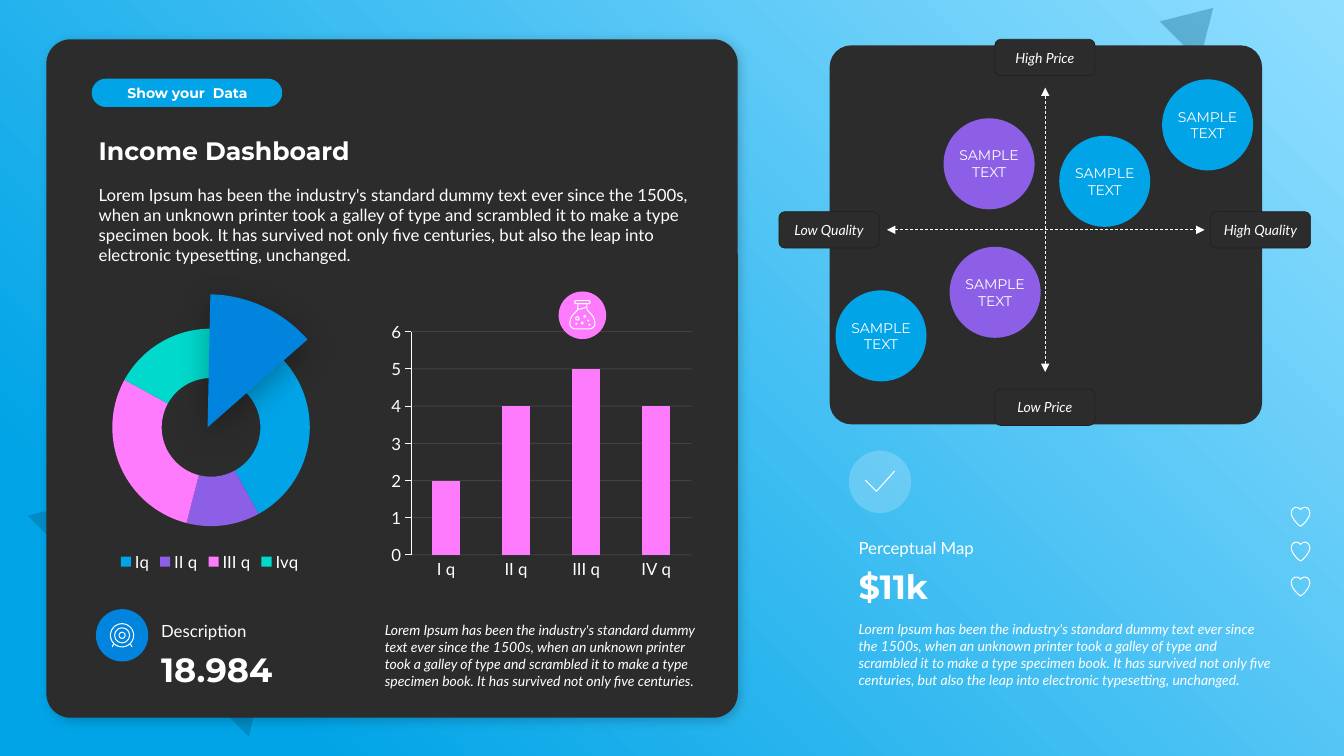
from lxml import etree
from pptx import Presentation
from pptx import util as u
from pptx.chart.data import CategoryChartData
from pptx.dml.color import RGBColor
from pptx.enum import chart as charts, dml, shapes, text

from pptx.oxml.ns import qn

Pt = u.Pt
Kind = shapes.MSO_SHAPE
Anchor = text.MSO_ANCHOR

WHITE = RGBColor(0xFF, 0xFF, 0xFF)
BLACK = RGBColor(0, 0, 0)
PANEL = RGBColor(0x2C, 0x2C, 0x2C)
EDGE = RGBColor(0x21, 0x21, 0x21)
SKY = RGBColor(0x90, 0xDE, 0xFF)
CYAN = RGBColor(0x01, 0xA4, 0xE7)
BLUE = RGBColor(0x00, 0x84, 0xDE)
NAVY = RGBColor(0x00, 0x52, 0x74)
PURPLE = RGBColor(0x8D, 0x5F, 0xE6)
PINK = RGBColor(0xFD, 0x7B, 0xFC)
TEAL = RGBColor(0x01, 0xD9, 0xCC)

LOREM = ("Lorem Ipsum has been the industry's standard dummy text ever since the 1500s, "
         "when an unknown printer took a galley of type and scrambled it to make a type "
         "specimen book. It has survived not only five centuries")
LOREM_LONG = LOREM + ", but also the leap into electronic typesetting, unchanged."


def add_xml(parent, tag, **attributes):
    return etree.SubElement(parent, qn(tag), {k: str(v) for k, v in attributes.items()})


def set_alpha(element, percent):
    for color in element.iter(qn("a:srgbClr")):
        add_xml(color, "a:alpha", val=percent * 1000)


def curve(start, *segments, steps=8):
    """Points along joined cubic Bezier segments, each given as three points."""
    points = [start]
    for b, c, d in segments:
        a = points[-1]
        for t in (i / steps for i in range(1, steps + 1)):
            s = 1 - t
            points.append(tuple(s**3 * p + 3 * s * s * t * q + 3 * s * t * t * r + t**3 * v
                                for p, q, r, v in zip(a, b, c, d)))
    return points


def mirrored(half, axis):
    """Add the reflection of the left half, in reverse, across x = axis."""
    return half + [(2 * axis - x, y) for x, y in reversed(half)]


class Dashboard:
    body_font, title_font = "Lato", "Montserrat"

    def __init__(self, slide):
        self.slide = slide
        self.shapes = slide.shapes

    def shape(self, kind, left, top, width, height, fill=None, line=None, weight=0.75,
              alpha=None, adjust=(), shadow=None, turn=0):
        shape = self.shapes.add_shape(kind, Pt(left), Pt(top), Pt(width), Pt(height))
        shape.rotation = turn
        for i, value in enumerate(adjust):
            shape.adjustments[i] = value
        return self.paint(shape, fill, line, weight, alpha, shadow)

    def paint(self, shape, fill, line, weight, alpha=None, shadow=None):
        shape.shadow.inherit = False
        if fill is None:
            shape.fill.background()
        else:
            shape.fill.solid()
            shape.fill.fore_color.rgb = fill
        if line is None:
            shape.line.fill.background()
        else:
            shape.line.color.rgb = line
            shape.line.width = Pt(weight)
        if alpha:
            set_alpha(shape._element.spPr, alpha)
        if shadow:
            opacity, blur, distance, angle = shadow
            effects = shape._element.spPr.find(qn("a:effectLst"))
            outer = add_xml(effects, "a:outerShdw", blurRad=int(Pt(blur)),
                            dist=int(Pt(distance)), dir=angle * 60000, algn="ctr",
                            rotWithShape=0)
            add_xml(outer, "a:srgbClr", val=BLACK)
            set_alpha(outer, opacity)
        return shape

    def circle(self, x, y, radius, **style):
        return self.shape(Kind.OVAL, x - radius, y - radius, 2 * radius, 2 * radius, **style)

    def outline(self, left, top, points, close=True):
        corners = [(Pt(left + x), Pt(top + y)) for x, y in points]
        builder = self.shapes.build_freeform(*corners[0])
        builder.add_line_segments(corners[1:], close=close)
        return self.paint(builder.convert_to_shape(), None, WHITE, 0.75)

    def set_words(self, frame, words, size, font=body_font, bold=False, italic=False,
                  align=None, after=None):
        frame.word_wrap = True
        frame.text = words
        para = frame.paragraphs[0]
        para.alignment = align
        if after:
            para.space_after = Pt(after)
        style = para.runs[0].font
        style.name, style.size, style.bold, style.italic = font, Pt(size), bold, italic
        style.color.rgb = WHITE

    def text(self, left, top, width, height, words, size, anchor=Anchor.TOP, **style):
        box = self.shapes.add_textbox(Pt(left), Pt(top), Pt(width), Pt(height))
        self.set_words(box.text_frame, words, size, **style)
        box.text_frame.vertical_anchor = anchor
        box.text_frame.auto_size = text.MSO_AUTO_SIZE.SHAPE_TO_FIT_TEXT

    def label(self, shape, words, side_inset=7.2, **style):
        frame = shape.text_frame
        frame.vertical_anchor = Anchor.MIDDLE
        frame.margin_left = frame.margin_right = Pt(side_inset)
        self.set_words(frame, words, 10, align=text.PP_ALIGN.CENTER, **style)

    def arrow(self, x1, y1, x2, y2):
        line = self.shapes.add_connector(shapes.MSO_CONNECTOR.STRAIGHT,
                                         Pt(x1), Pt(y1), Pt(x2), Pt(y2))
        line.line.color.rgb = WHITE
        line.line.width = Pt(0.5)
        line.line.dash_style = dml.MSO_LINE.DASH
        properties = line._element.spPr
        for end in ("a:headEnd", "a:tailEnd"):
            add_xml(properties.find(qn("a:ln")), end, type="triangle")
        add_xml(properties, "a:effectLst")

    def chart(self, kind, left, top, width, height, categories, values, plot_area):
        data = CategoryChartData()
        data.categories = categories
        data.add_series("Series 1", values)
        chart = self.shapes.add_chart(kind, Pt(left), Pt(top), Pt(width), Pt(height), data).chart
        chart.has_title = chart.has_legend = False
        chart.font.name, chart.font.size = self.body_font, Pt(12)
        chart.font.color.rgb = WHITE
        area = chart._chartSpace.find(".//" + qn("c:plotArea"))
        for old in area.findall(qn("c:layout")):
            area.remove(old)
        layout = etree.Element(qn("c:layout"))
        area.insert(0, layout)
        manual = add_xml(layout, "c:manualLayout")
        add_xml(manual, "c:layoutTarget", val="inner")
        for tag in ("c:xMode", "c:yMode"):
            add_xml(manual, tag, val="edge")
        for tag, value in zip("xywh", plot_area):
            add_xml(manual, "c:" + tag, val=value)
        return chart

    def backdrop(self):
        sheet = self.shape(Kind.RECTANGLE, 0, 0, 960, 540, fill=CYAN)
        sheet.fill.gradient()
        for stop, color, place in zip(sheet.fill.gradient_stops, (SKY, CYAN), (0, 0.85)):
            stop.color.rgb, stop.position = color, place
        gradient = sheet._element.spPr.find(qn("a:gradFill"))
        gradient.remove(gradient.find(qn("a:lin")))
        radial = add_xml(gradient, "a:path", path="circle")
        add_xml(radial, "a:fillToRect", l=100000, b=100000)
        for box in ((52.6, 289.4, 223.2, 185), (834.5, 0.7, 40.3, 33.8)):
            self.shape(Kind.ISOSCELES_TRIANGLE, *box, fill=NAVY, alpha=30, turn=45)

    def income_charts(self):
        ring = self.chart(charts.XL_CHART_TYPE.DOUGHNUT, 47.5, 225.4, 204.5, 185.8,
                          ("Iq", "II q", "III q", "Ivq"), (42, 12, 29, 17),
                          (0.16, 0.05, 0.69, 0.76))
        ring.has_legend = True
        ring.legend.position = charts.XL_LEGEND_POSITION.BOTTOM
        ring.legend.include_in_layout = False
        ring.plots[0].vary_by_categories = True
        for i, color in enumerate((CYAN, PURPLE, PINK, TEAL)):
            piece = ring.plots[0].series[0].points[i].format
            piece.fill.solid()
            piece.fill.fore_color.rgb = color
            piece.line.fill.background()
        # Arc adjustments count 0.6 for each degree.
        self.shape(Kind.ARC, 53.3, 210.2, 190, 190, fill=BLUE, shadow=(30, 23, 6, 90),
                   adjust=(271.2 * 0.6, 318.7 * 0.6))

        bars = self.chart(charts.XL_CHART_TYPE.COLUMN_CLUSTERED, 275.8, 225.4, 222.5, 192.2,
                          ("I q", "II q", "III q", "IV q"), (2, 4, 5, 4),
                          (0.08, 0.06, 0.9, 0.83))
        plot = bars.plots[0]
        plot.gap_width, plot.vary_by_categories = 150, False
        plot.series[0].format.fill.solid()
        plot.series[0].format.fill.fore_color.rgb = PINK
        bars.category_axis.major_tick_mark = charts.XL_TICK_MARK.NONE
        bars.category_axis.format.line.fill.background()
        scale = bars.value_axis
        scale.minimum_scale, scale.maximum_scale, scale.major_unit = 0, 6, 1
        scale.major_tick_mark = charts.XL_TICK_MARK.OUTSIDE
        scale.format.line.color.rgb = WHITE
        grid = scale.major_gridlines.format.line
        grid.color.rgb, grid.width = WHITE, Pt(0.75)
        set_alpha(bars._chartSpace.find(".//" + qn("c:majorGridlines")), 10)

    def target_icon(self, x, y):
        self.circle(x, y, 18.7, fill=BLUE)
        for radius in (8.3, 5.4, 2.2):
            self.circle(x, y, radius, line=WHITE)
        for side in (-1, 1):
            self.outline(x, y, [(side * 6, 6.2), (side * 7, 8.3)], close=False)

    def flask_icon(self, x, y):
        self.circle(x, y, 17, fill=PINK)
        left, top = x - 9.35, y - 10.8
        self.shape(Kind.ROUNDED_RECTANGLE, left + 3.9, top + 0.4, 10.9, 2.1,
                   line=WHITE, adjust=(0.4,))
        half = [(6.1, 2.5)] + curve((6.1, 5.8), ((6.1, 8.6), (0.4, 10), (0.4, 16.6)),
                                    ((0.4, 20.5), (4.3, 20.5), (4.7, 20.5)))
        self.outline(left, top, mirrored(half, 9.35))
        self.outline(left, top, curve((6.1, 6.2), ((8, 7.2), (10, 5), (12.6, 5.4))), close=False)
        self.circle(left + 5.8, top + 13, 1.2, line=WHITE)
        for dot_x, dot_y, radius in ((5, 16.9, 0.7), (14.4, 17.6, 0.7), (13.5, 14.6, 0.7),
                                     (11, 11.6, 1), (9.2, 16.3, 1)):
            self.circle(left + dot_x, top + dot_y, radius, fill=WHITE)

    def income_panel(self):
        self.shape(Kind.ROUNDED_RECTANGLE, 33.1, 28.1, 493.9, 484.6, fill=PANEL,
                   adjust=(0.036,), shadow=(20, 8, 3, 45))
        self.text(63.4, 128.2, 443.5, 65.5, LOREM_LONG, 12, after=6)
        self.text(63.4, 92.9, 443.5, 28.8, "Income Dashboard", 18, Anchor.BOTTOM,
                  font=self.title_font, bold=True)
        self.shape(Kind.ROUNDED_RECTANGLE, 65.5, 56.2, 136.1, 20.2, fill=CYAN, adjust=(0.5,))
        self.text(71.3, 56.9, 125.3, 19.4, "Show your  Data", 10, Anchor.MIDDLE,
                  font=self.title_font, bold=True, align=text.PP_ALIGN.CENTER)
        self.income_charts()
        self.figure(108, 133.9, "Description", "18.984")
        self.target_icon(87.2, 453.8)
        self.flask_icon(416, 225.2)
        self.text(267.8, 440.6, 239, 55.4, LOREM + ".", 10, italic=True, after=6)

    def figure(self, left, width, caption, value, rise=0):
        self.text(left, 460.1 - rise, width, 36, value, 24, Anchor.BOTTOM,
                  font=self.title_font, bold=True)
        self.text(left, 439.9 - rise, width, 21.6, caption, 12, Anchor.BOTTOM)

    def perceptual_map(self):
        self.shape(Kind.ROUNDED_RECTANGLE, 592.6, 32.4, 308.9, 270.7, fill=PANEL, adjust=(0.057,))
        self.arrow(633.6, 164.2, 860.4, 164.2)
        self.arrow(746.6, 265.7, 746.6, 62.6)
        for left, top, words in ((710.6, 28.1, "High Price"), (710.6, 277.9, "Low Price"),
                                 (556.4, 151.2, "Low Quality"), (864.6, 151.2, "High Quality")):
            tag = self.shape(Kind.ROUNDED_RECTANGLE, left, top, 71.6, 26,
                             fill=PANEL, line=EDGE, weight=0.5)
            self.label(tag, words, italic=True)
        for x, y, color in ((706.5, 117, PURPLE), (710.8, 208.8, PURPLE), (629.3, 239.9, CYAN),
                            (789.1, 129.5, CYAN), (862.6, 89.2, CYAN)):
            bubble = self.circle(x, y, 32.5, fill=color)
            self.label(bubble, "SAMPLE TEXT", side_inset=0, font=self.title_font)
        self.figure(606.2, 312.5, "Perceptual Map", "$11k", rise=59.5)
        self.text(606.2, 439.9, 312.5, 55.4, LOREM_LONG, 10, italic=True, after=6)
        self.circle(628.6, 344.2, 22.3, fill=WHITE, alpha=20)
        self.outline(618, 336.5, [(0, 6.5), (8, 14.5), (21, 0)], close=False)
        half_heart = curve((7, 2), ((6.2, 1), (5, 0.4), (3.9, 0.4)),
                           ((2, 0.4), (0.4, 2.2), (0.4, 4.4)), ((0.4, 8.6), (6.2, 13.6), (7, 13.8)))
        for i in range(3):
            self.outline(922, 362 + 24.9 * i, mirrored(half_heart, 7))


def main():
    deck = Presentation()
    deck.slide_width, deck.slide_height = Pt(960), Pt(540)
    page = Dashboard(deck.slides.add_slide(deck.slide_layouts[6]))
    page.backdrop()
    page.income_panel()
    page.perceptual_map()
    deck.save("out.pptx")


if __name__ == "__main__":
    main()
